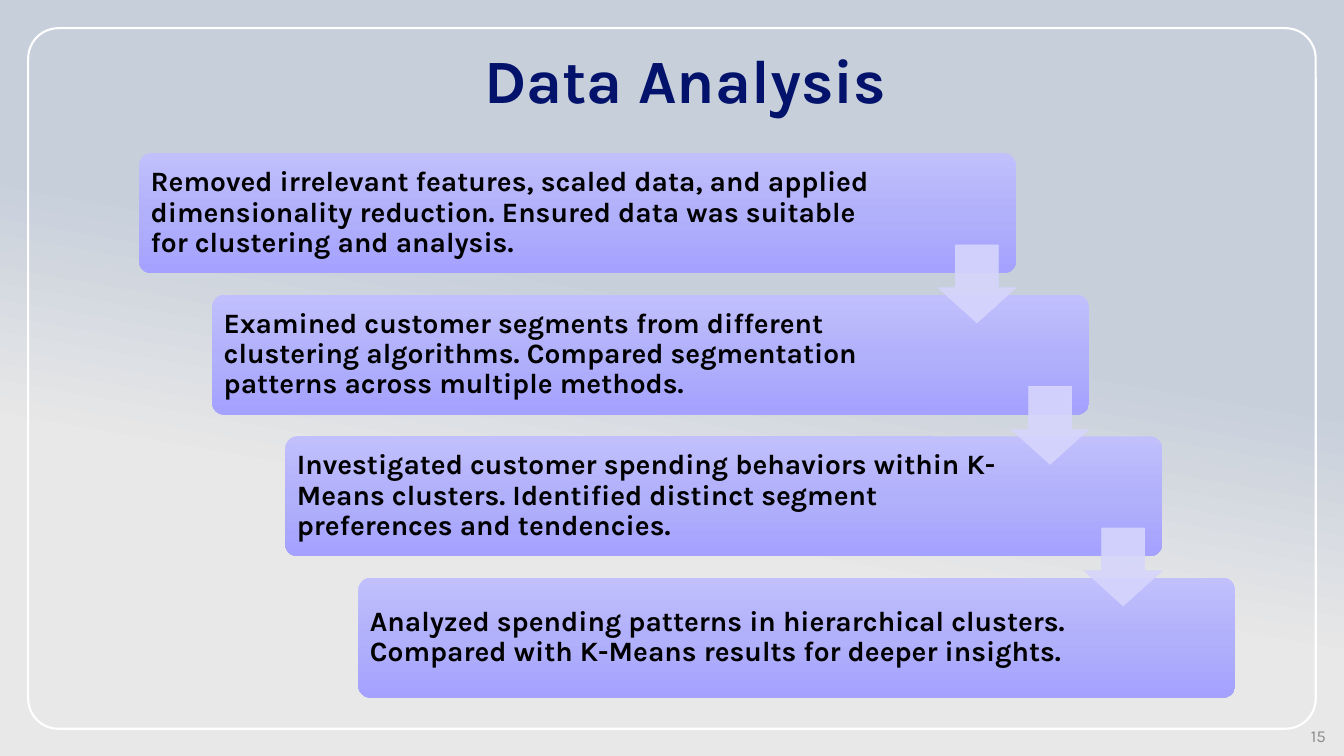
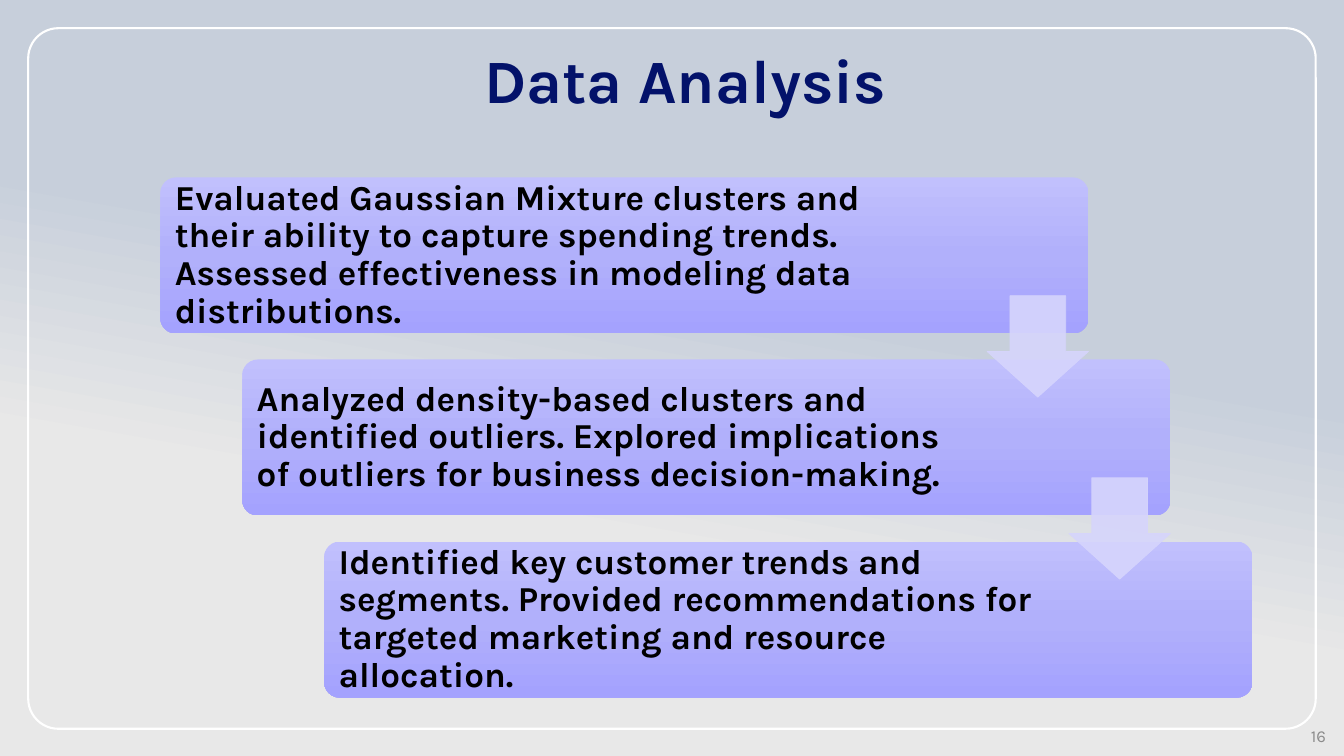
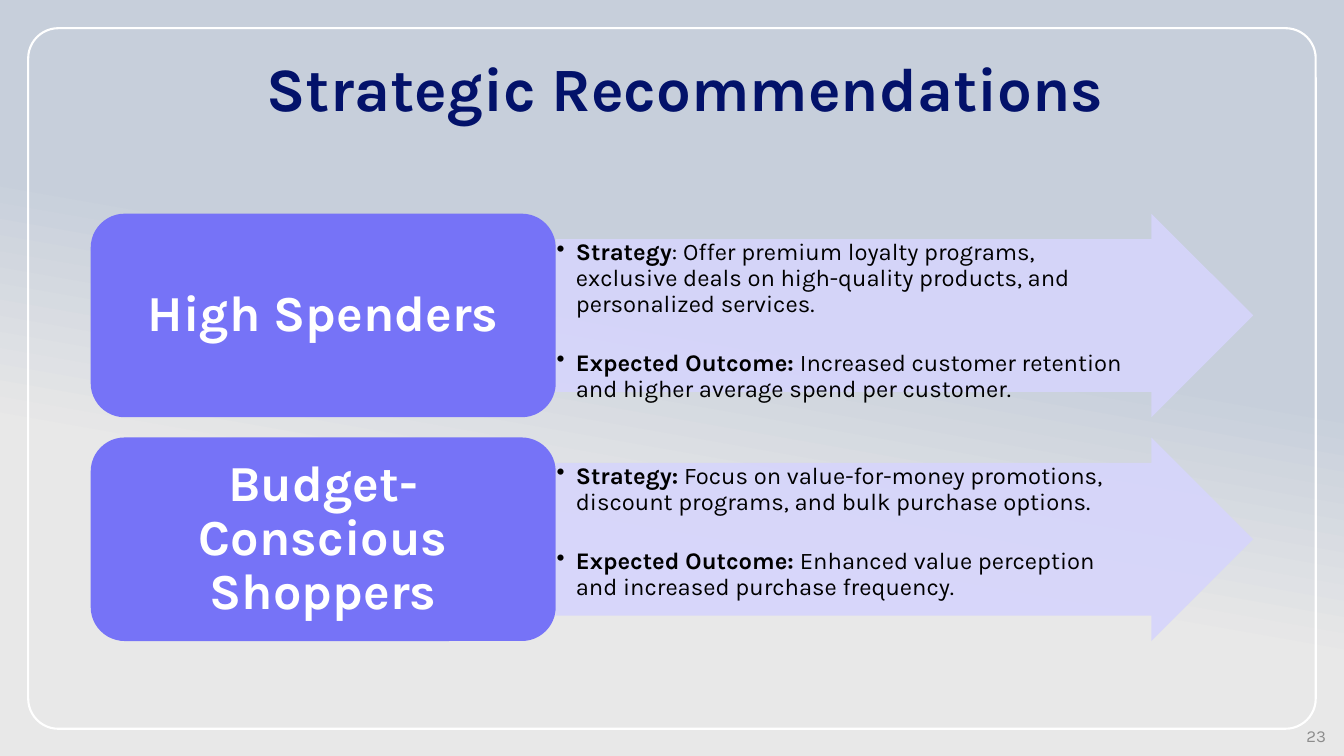
from copy import deepcopy
from dataclasses import dataclass

from lxml import etree
from pptx import Presentation
from pptx import util as u
from pptx.dml import color
from pptx.enum import shapes, text
from pptx.oxml import ns

PALETTE = {
    "title": "03126A", "number": "8C8C8C", "body": "000000", "white": "FFFFFF",
    "arrow": "D6D5FC", "segment": "7673F7",
}
BACKDROP = [(33, "E8E8E8"), (59, "C7CFDB")]
STEP_FILL = [(0, "C1C0FD"), (50, "B1B0FB"), (100, "A4A2FE")]
LEFT, CENTER, RIGHT = text.PP_ALIGN.LEFT, text.PP_ALIGN.CENTER, text.PP_ALIGN.RIGHT
TOP, MIDDLE, BOTTOM = text.MSO_ANCHOR.TOP, text.MSO_ANCHOR.MIDDLE, text.MSO_ANCHOR.BOTTOM
PRESET = shapes.MSO_SHAPE


@dataclass
class Box:
    left: float
    top: float
    width: float
    height: float

    def share(self, left, top, width, height):
        return Box(self.left + self.width * left / 100, self.top + self.height * top / 100,
                   self.width * width / 100, self.height * height / 100)

    def emu(self):
        return [u.Inches(v) for v in (self.left, self.top, self.width, self.height)]


PAGE = Box(0, 0, 13.33, 7.5)


def rgb(value):
    return color.RGBColor.from_string(value)


def assign(target, values):
    for key, value in values.items():
        setattr(target, key, value)


def paint_gradient(fill, element, stops, angle):
    fill.gradient()
    fill.gradient_angle = 360 - angle
    stop_list = next(element.iter(ns.qn("a:gsLst")))
    pattern = deepcopy(stop_list[0])
    for old in list(stop_list):
        stop_list.remove(old)
    for position, value in stops:
        stop = deepcopy(pattern)
        stop.set("pos", str(position * 1000))
        for child in list(stop):
            stop.remove(child)
        etree.SubElement(stop, ns.qn("a:srgbClr"), val=value)
        stop_list.append(stop)


def fade(shape, percent):
    for tone in shape._element.spPr.iter(ns.qn("a:srgbClr")):
        etree.SubElement(tone, ns.qn("a:alpha"), val=str(percent * 1000))


def add_preset(slide, kind, box, adjustments=(), fill=None, line=None, weight=1):
    shape = slide.shapes.add_shape(kind, *box.emu())
    shape.shadow.inherit = False
    for index, value in enumerate(adjustments):
        shape.adjustments[index] = value
    if fill:
        shape.fill.solid()
        shape.fill.fore_color.rgb = rgb(fill)
    else:
        shape.fill.background()
    if line:
        shape.line.color.rgb = rgb(line)
        shape.line.width = u.Pt(weight)
    else:
        shape.line.fill.background()
    return shape


def set_frame(shape, anchor, insets):
    frame = shape.text_frame
    sides = ("margin_left", "margin_top", "margin_right", "margin_bottom")
    assign(frame, {"word_wrap": True, "vertical_anchor": anchor})
    assign(frame, {side: u.Inches(v) for side, v in zip(sides, insets)})
    return frame


def write(paragraph, runs, size, tone, align=LEFT, spacing=0.9):
    assign(paragraph, {"alignment": align, "line_spacing": spacing})
    for words, bold in runs:
        run = paragraph.add_run()
        run.text = words
        assign(run.font, {"name": "Karla", "size": u.Pt(size), "bold": bold})
        run.font.color.rgb = rgb(PALETTE[tone])


def add_label(slide, box, words, size, tone, align, anchor, bold, spacing):
    label = slide.shapes.add_textbox(*box.emu())
    frame = set_frame(label, anchor, (0.1, 0.05, 0.1, 0.05))
    write(frame.paragraphs[0], [(words, bold)], size, tone, align, spacing)


def add_page(deck, title, number, title_height=10.8):
    slide = deck.slides.add_slide(deck.slide_layouts[6])
    add_preset(slide, PRESET.ROUNDED_RECTANGLE, PAGE.share(2.1, 3.73, 95.8, 92.67),
               [0.043], line=PALETTE["white"], weight=1.5)
    add_label(slide, PAGE.share(8.85, 5.33, 84.32, title_height), title, 44, "title",
              CENTER, BOTTOM, True, 0.9)
    add_label(slide, PAGE.share(76.9, 95.73, 22.5, 3.33), number, 12, "number",
              RIGHT, MIDDLE, False, 1.0)
    return slide


def add_staircase(slide, box, steps, step_width, step_height, size, reserve):
    gaps = len(steps) - 1
    across, down = (100 - step_width) / gaps, (100 - step_height) / gaps
    places = [box.share(across * i, down * i, step_width, step_height)
              for i in range(len(steps))]
    inset = size * 0.004
    for place, words in zip(places, steps):
        step = add_preset(slide, PRESET.ROUNDED_RECTANGLE, place, [0.1])
        paint_gradient(step.fill, step._element, STEP_FILL, 90)
        frame = set_frame(step, MIDDLE, (inset, inset, inset + reserve, inset))
        write(frame.paragraphs[0], [(words, True)], size, "body")
    for upper, lower in zip(places, places[1:]):
        side = upper.height * 0.65
        middle = (upper.top + upper.height + lower.top) / 2
        place = Box(upper.left + upper.width - side, middle - side / 2, side, side)
        arrow = add_preset(slide, PRESET.DOWN_ARROW, place, [0.55, 0.45],
                           PALETTE["arrow"], PALETTE["arrow"], 0.5)
        fade(arrow, 90)


def add_bullet(paragraph):
    properties = paragraph._p.get_or_add_pPr()
    indent = u.Inches(0.19)
    properties.set("marL", str(indent))
    properties.set("indent", str(-indent))
    etree.SubElement(properties, ns.qn("a:buChar"), char="•")


def add_segment(slide, box, name, points):
    arrow = add_preset(slide, PRESET.RIGHT_ARROW, box.share(40, 0, 60, 100), [0.75, 0.5],
                       PALETTE["arrow"])
    fade(arrow, 90)
    frame = set_frame(arrow, TOP, (0.01, 0.01, 0.52, 0.01))
    for index, (heading, detail) in enumerate(points):
        paragraph = frame.add_paragraph() if index else frame.paragraphs[0]
        add_bullet(paragraph)
        write(paragraph, [(heading, True), (detail, False)], 17, "body")
        if index:
            paragraph.space_before = u.Pt(24)
    card = add_preset(slide, PRESET.ROUNDED_RECTANGLE, box.share(0, 0, 40, 100),
                      fill=PALETTE["segment"])
    frame = set_frame(card, MIDDLE, (0.15, 0.07, 0.15, 0.07))
    write(frame.paragraphs[0], [(name, True)], 36, "white", CENTER)


def add_segments(slide, box, segments, gap=4.72):
    height = (100 - gap * (len(segments) - 1)) / len(segments)
    for row, (name, points) in enumerate(segments):
        add_segment(slide, box.share(0, row * (height + gap), 100, height), name, points)


PREPARATION = [
    "Removed irrelevant features, scaled data, and applied dimensionality reduction. "
    "Ensured data was suitable for clustering and analysis.",
    "Examined customer segments from different clustering algorithms. "
    "Compared segmentation patterns across multiple methods.",
    "Investigated customer spending behaviors within K-Means clusters. "
    "Identified distinct segment preferences and tendencies.",
    "Analyzed spending patterns in hierarchical clusters. "
    "Compared with K-Means results for deeper insights.",
]
EVALUATION = [
    "Evaluated Gaussian Mixture clusters and their ability to capture spending trends. "
    "Assessed effectiveness in modeling data distributions.",
    "Analyzed density-based clusters and identified outliers. "
    "Explored implications of outliers for business decision-making.",
    "Identified key customer trends and segments. "
    "Provided recommendations for targeted marketing and resource allocation.",
]
SEGMENTS = [
    ("High Spenders", [
        ("Strategy", ": Offer premium loyalty programs, exclusive deals on "
                     "high-quality products, and personalized services."),
        ("Expected Outcome:", " Increased customer retention and higher average "
                              "spend per customer."),
    ]),
    ("Budget-Conscious Shoppers", [
        ("Strategy:", " Focus on value-for-money promotions, discount programs, "
                      "and bulk purchase options."),
        ("Expected Outcome:", " Enhanced value perception and increased "
                              "purchase frequency."),
    ]),
]


def main():
    deck = Presentation()
    assign(deck, {"slide_width": u.Inches(PAGE.width), "slide_height": u.Inches(PAGE.height)})
    master = deck.slide_master
    paint_gradient(master.background.fill, master._element, BACKDROP, 280)

    add_staircase(add_page(deck, "Data Analysis", "15"),
                  PAGE.share(10.35, 20.27, 81.55, 72), PREPARATION, 80, 22, 20, 1.31)
    add_staircase(add_page(deck, "Data Analysis", "16"),
                  PAGE.share(11.93, 23.47, 81.25, 68.8), EVALUATION, 85, 30, 25, 1.8)
    add_segments(add_page(deck, "Strategic Recommendations", "23", 11.87),
                 PAGE.share(6.75, 28.27, 86.5, 56.53), SEGMENTS)
    deck.save("out.pptx")


if __name__ == "__main__":
    main()
